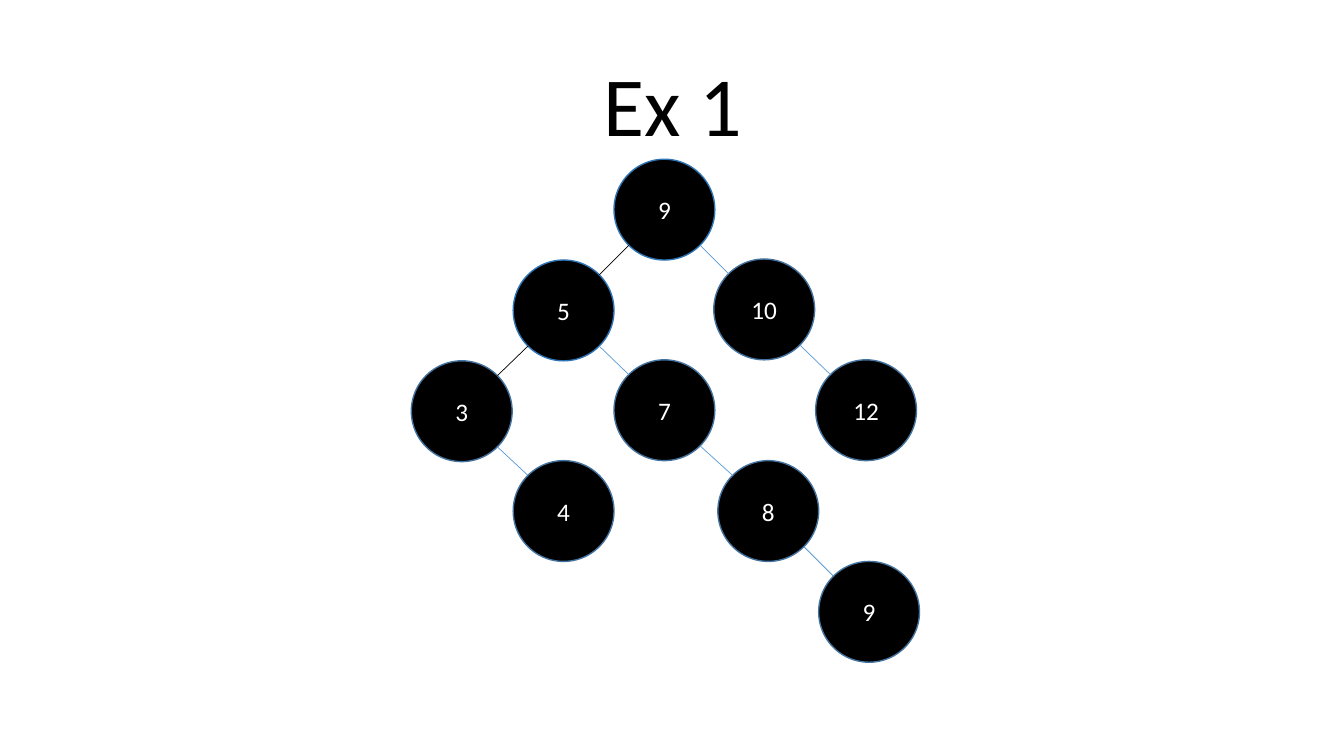
import math
import pptx
import pptx.dml.color
import pptx.enum.shapes
import pptx.enum.text
import pptx.oxml
import pptx.oxml.ns
import pptx.util

Inches = pptx.util.Inches
Pt = pptx.util.Pt
RGBColor = pptx.dml.color.RGBColor
BLACK = RGBColor(0x00, 0x00, 0x00)
WHITE = RGBColor(0xFF, 0xFF, 0xFF)
BRIGHT_BLUE = RGBColor(0x2E, 0x75, 0xB6)
DULL_BLUE = RGBColor(0x43, 0x73, 0x9E)
LIGHT_BLUE = RGBColor(0x5B, 0x9B, 0xD5)
FONT = "Calibri"
DIAMETER = 1
DIAGONAL = DIAMETER / 2 * math.sqrt(0.5)


def write(shape, text, size, color, anchor):
    shape.text_frame.word_wrap = True
    shape.text_frame.vertical_anchor = anchor
    paragraph = shape.text_frame.paragraphs[0]
    paragraph.alignment = pptx.enum.text.PP_ALIGN.CENTER
    run = paragraph.add_run()
    run.text = text
    run.font.name = FONT
    run.font.size = Pt(size)
    run.font.color.rgb = color
    return paragraph


presentation = pptx.Presentation()
presentation.slide_width = Inches(13.33)
presentation.slide_height = Inches(7.5)
slide = presentation.slides.add_slide(presentation.slide_layouts[0])
subtitle = slide.placeholders[1].element
subtitle.getparent().remove(subtitle)

title = slide.shapes.title
title.left, title.top = Inches(1.67), Inches(0.54)
title.width, title.height = Inches(10), Inches(1.04)
heading = write(title, "Ex 1", 60, BLACK, pptx.enum.text.MSO_ANCHOR.BOTTOM)
heading.line_spacing = 0.9

nodes = {
    "root": ("9", 6.09, 1.58, BRIGHT_BLUE),
    "five": ("5", 5.09, 2.58, BRIGHT_BLUE),
    "three": ("3", 4.08, 3.58, DULL_BLUE),
    "four": ("4", 5.09, 4.57, DULL_BLUE),
    "eight": ("8", 7.12, 4.57, DULL_BLUE),
    "ten": ("10", 7.08, 2.57, DULL_BLUE),
    "seven": ("7", 6.09, 3.57, DULL_BLUE),
    "twelve": ("12", 8.09, 3.57, DULL_BLUE),
    "second nine": ("9", 8.12, 5.57, DULL_BLUE),
}
centers = {}
for name, (value, left, top, outline) in nodes.items():
    node = slide.shapes.add_shape(
        pptx.enum.shapes.MSO_SHAPE.OVAL,
        Inches(left), Inches(top), Inches(DIAMETER), Inches(DIAMETER))
    node.shadow.inherit = False
    node.fill.solid()
    node.fill.fore_color.rgb = BLACK
    node.line.color.rgb = outline
    node.line.width = Pt(1)
    write(node, value, 18, WHITE, pptx.enum.text.MSO_ANCHOR.MIDDLE)
    centers[name] = (left + DIAMETER / 2, top + DIAMETER / 2)

edges = [
    ("root", "five", BLACK),
    ("five", "three", BLACK),
    ("three", "four", LIGHT_BLUE),
    ("five", "seven", LIGHT_BLUE),
    ("root", "ten", LIGHT_BLUE),
    ("ten", "twelve", LIGHT_BLUE),
    ("seven", "eight", LIGHT_BLUE),
    ("eight", "second nine", LIGHT_BLUE),
]
for parent, child, color in edges:
    parent_x, parent_y = centers[parent]
    child_x, child_y = centers[child]
    offset = math.copysign(DIAGONAL, child_x - parent_x)
    edge = slide.shapes.add_connector(
        pptx.enum.shapes.MSO_CONNECTOR.STRAIGHT,
        Inches(parent_x + offset), Inches(parent_y + DIAGONAL),
        Inches(child_x - offset), Inches(child_y - DIAGONAL))
    edge.line.color.rgb = color
    edge.line.width = Pt(0.5)
    properties = edge.element.find(pptx.oxml.ns.qn("p:spPr"))
    properties.append(pptx.oxml.parse_xml(
        '<a:effectLst xmlns:a="http://schemas.openxmlformats.org/drawingml/2006/main"/>'))

presentation.save("out.pptx")
